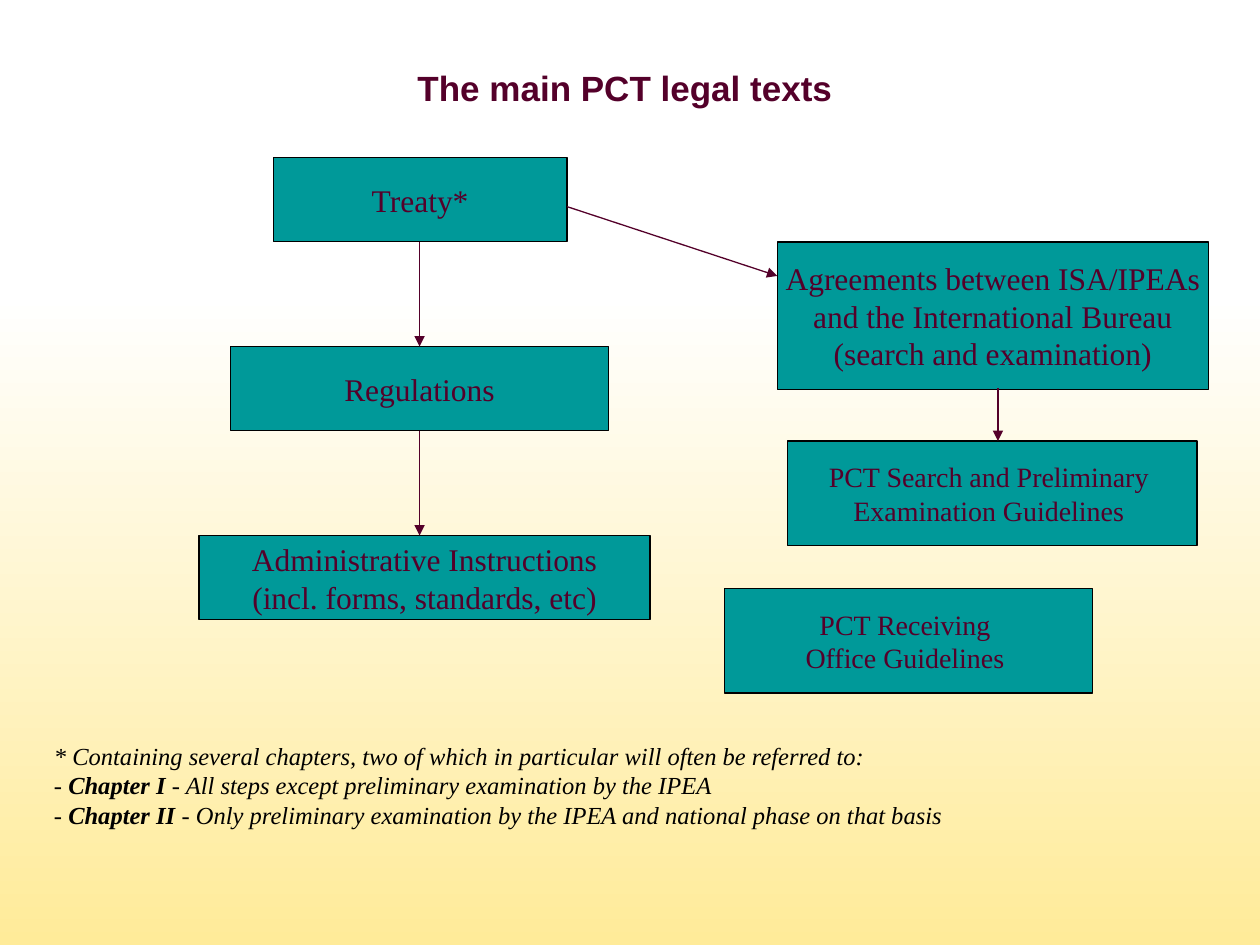
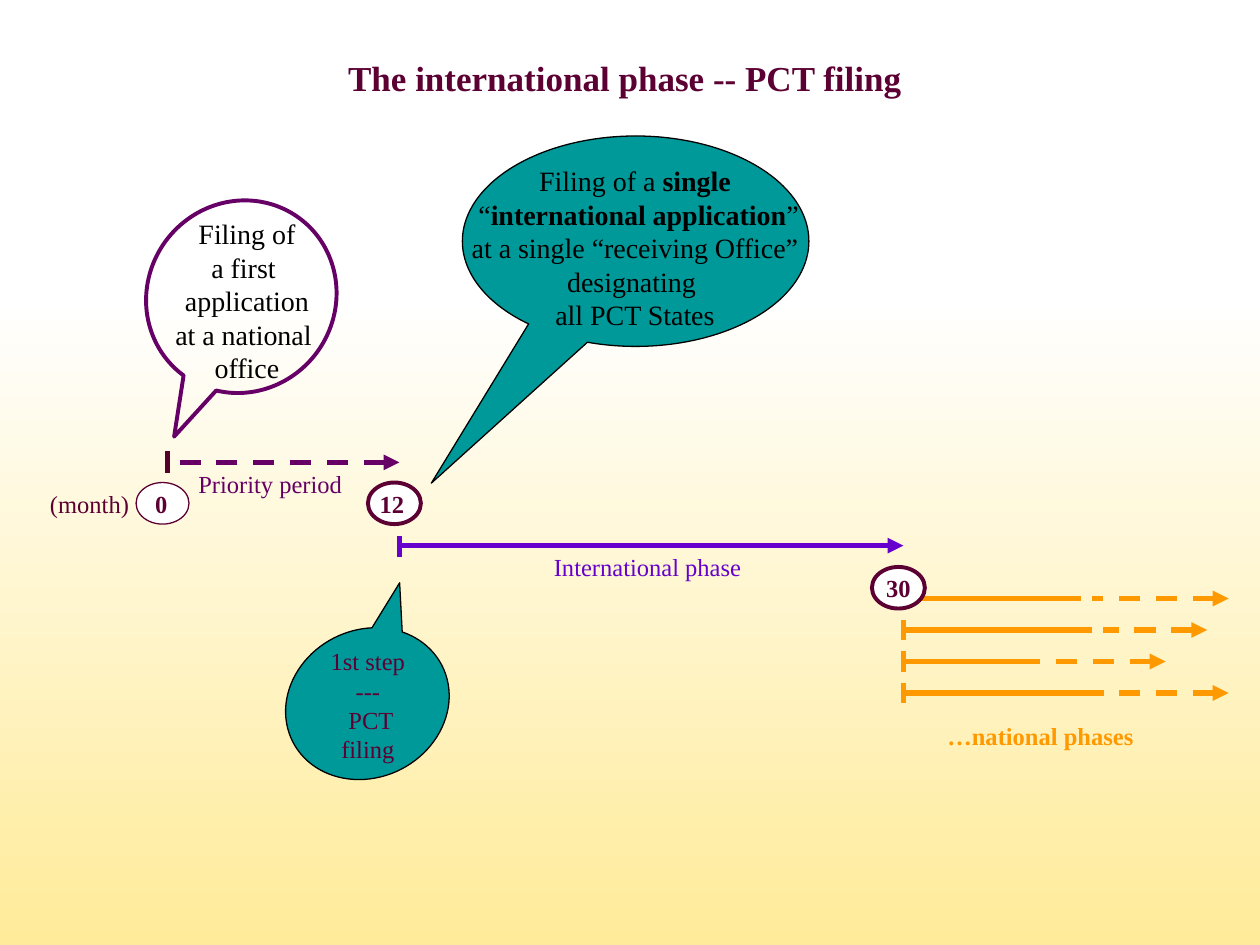
from dataclasses import dataclass

from lxml import etree
from pptx import Presentation
from pptx.dml.color import RGBColor
from pptx.enum.dml import MSO_LINE
from pptx.enum.shapes import MSO_CONNECTOR, MSO_SHAPE
from pptx.enum.text import MSO_ANCHOR, MSO_AUTO_SIZE, PP_ALIGN
from pptx.oxml.ns import qn
from pptx.shapes.base import BaseShape
from pptx.slide import Slide
from pptx.text.text import TextFrame
from pptx.util import Inches, Pt

RECT = MSO_SHAPE.RECTANGLE
OVAL = MSO_SHAPE.OVAL
BUBBLE = MSO_SHAPE.OVAL_CALLOUT
STRAIGHT = MSO_CONNECTOR.STRAIGHT
DASH = MSO_LINE.DASH
LEFT, CENTER = PP_ALIGN.LEFT, PP_ALIGN.CENTER
TOP, MIDDLE = MSO_ANCHOR.TOP, MSO_ANCHOR.MIDDLE
FIT = MSO_AUTO_SIZE.SHAPE_TO_FIT_TEXT

SANS, SERIF = "Arial", "Times New Roman"
COLORS = {
    "white": "FFFFFF",
    "cream": "FFEB99",
    "teal": "009999",
    "black": "000000",
    "wine": "54002A",
    "plum": "5C0033",
    "purple": "660066",
    "violet": "6600CC",
    "orange": "FF9900",
}

Runs = list[tuple[str, bool]]


@dataclass
class Frame:
    left: float
    top: float
    width: float
    height: float

    def lengths(self) -> list[int]:
        return [Inches(v) for v in (self.left, self.top, self.width, self.height)]


@dataclass
class Style:
    size: float = 14
    color: str = "plum"
    font: str = SERIF
    italic: bool = False
    align: PP_ALIGN = CENTER
    anchor: MSO_ANCHOR = TOP
    wrap: bool = True


@dataclass
class Label:
    frame: Frame
    runs: Runs
    style: Style


@dataclass
class Box:
    frame: Frame
    text: str
    size: float = 18


@dataclass
class Line:
    x1: float
    y1: float
    x2: float
    y2: float
    color: str
    width: float = 3
    dash: bool = False
    arrow: str = ""


@dataclass
class Callout:
    frame: Frame
    tip: tuple[float, float]
    turn: float = 0
    fill: str = "teal"
    edge: str = "black"
    width: float = 0.75


@dataclass
class Month:
    left: float
    top: float
    text: str
    shift: float = 0
    width: float = 2.25


def rgb(name: str) -> RGBColor:
    return RGBColor.from_string(COLORS[name])


def plain(text: str, bold: bool = False) -> Runs:
    return [(text, bold)]


def write(frame: TextFrame, runs: Runs, style: Style) -> None:
    frame.word_wrap = style.wrap
    frame.vertical_anchor = style.anchor
    para = frame.paragraphs[0]
    para.alignment = style.align
    for text, bold in runs:
        for row, part in enumerate(text.split("\n")):
            if row:
                para.add_line_break()
            if part:
                run = para.add_run()
                run.text = part
                font = run.font
                font.name, font.size = style.font, Pt(style.size)
                font.bold, font.italic = bold, style.italic
                font.color.rgb = rgb(style.color)


def add_label(slide: Slide, label: Label) -> None:
    frame = slide.shapes.add_textbox(*label.frame.lengths()).text_frame
    write(frame, label.runs, label.style)
    frame.auto_size = FIT


def add_form(slide: Slide, kind: MSO_SHAPE, frame: Frame, fill: str,
             edge: str, width: float) -> BaseShape:
    shape = slide.shapes.add_shape(kind, *frame.lengths())
    shape.shadow.inherit = False
    if fill:
        shape.fill.solid()
        shape.fill.fore_color.rgb = rgb(fill)
    else:
        shape.fill.background()
    shape.line.color.rgb = rgb(edge)
    shape.line.width = Pt(width)
    return shape


def add_box(slide: Slide, box: Box) -> None:
    shape = add_form(slide, RECT, box.frame, "teal", "black", 0.75)
    style = Style(box.size, "wine", anchor=MIDDLE, wrap=False)
    write(shape.text_frame, plain(box.text), style)


def add_line(slide: Slide, line: Line) -> None:
    ends = [Inches(v) for v in (line.x1, line.y1, line.x2, line.y2)]
    link = slide.shapes.add_connector(STRAIGHT, *ends)
    link.line.color.rgb = rgb(line.color)
    link.line.width = Pt(line.width)
    if line.dash:
        link.line.dash_style = DASH
    props = link._element.spPr
    if line.arrow:
        etree.SubElement(props.find(qn("a:ln")), qn(f"a:{line.arrow}End"), type="triangle")
    etree.SubElement(props, qn("a:effectLst"))


def add_bubble(slide: Slide, call: Callout) -> None:
    shape = add_form(slide, BUBBLE, call.frame, call.fill, call.edge, call.width)
    shape.rotation = call.turn
    shape.adjustments[0], shape.adjustments[1] = call.tip


def add_month(slide: Slide, month: Month) -> None:
    oval = Frame(month.left, month.top, 0.42, 0.33)
    add_form(slide, OVAL, oval, "white", "plum", month.width)
    frame = Frame(month.left + month.shift, month.top, 0.42, 0.34)
    add_label(slide, Label(frame, plain(month.text, True), Style(wrap=False)))


def add_page(deck: Presentation, title: str, top: float, font: str, color: str) -> Slide:
    slide = deck.slides.add_slide(deck.slide_layouts[6])
    band = slide.shapes.add_shape(RECT, *Frame(0, 2.33, 10, 5.17).lengths())
    band.shadow.inherit = False
    band.line.fill.background()
    band.fill.gradient()
    band.fill.gradient_angle = 270
    for stop, name, place in zip(band.fill.gradient_stops, ("white", "cream"), (0, 1)):
        stop.color.rgb = rgb(name)
        stop.position = place
    style = Style(20, color, font)
    add_label(slide, Label(Frame(0.5, top, 8.92, 0.44), plain(title, True), style))
    return slide


def draw_texts(deck: Presentation) -> None:
    slide = add_page(deck, "The main PCT legal texts", 0.48, SANS, "wine")
    boxes = [
        Box(Frame(2.17, 1.25, 2.33, 0.67), "Treaty*"),
        Box(Frame(1.83, 2.75, 3, 0.67), "Regulations"),
        Box(Frame(1.58, 4.25, 3.58, 0.67),
            "Administrative Instructions\n(incl. forms, standards, etc)"),
        Box(Frame(6.17, 1.92, 3.42, 1.17),
            "Agreements between ISA/IPEAs\n and the International Bureau \n"
            "(search and examination)"),
        Box(Frame(6.25, 3.5, 3.25, 0.83),
            "PCT Search and Preliminary \nExamination Guidelines ", 16),
        Box(Frame(5.75, 4.67, 2.92, 0.83), "PCT Receiving \nOffice Guidelines ", 16),
    ]
    for box in boxes:
        add_box(slide, box)
    links = [
        (3.33, 1.92, 3.33, 2.75, 1),
        (3.33, 3.42, 3.33, 4.25, 1),
        (4.5, 1.64, 6.17, 2.19, 0.75),
        (7.92, 3.08, 7.92, 3.5, 0.75),
    ]
    for x1, y1, x2, y2, width in links:
        add_line(slide, Line(x1, y1, x2, y2, "wine", width, arrow="tail"))
    notes = [
        ("* Containing several chapters, two of which in particular will often "
         "be referred to:\n- ", False),
        ("Chapter I", True),
        (" - All steps except preliminary examination by the IPEA\n- ", False),
        ("Chapter II", True),
        (" - Only preliminary examination by the IPEA and national phase on that basis",
         False),
    ]
    style = Style(color="black", italic=True, align=LEFT)
    add_label(slide, Label(Frame(0.33, 5.83, 7.33, 0.8), notes, style))


def draw_phase(deck: Presentation) -> None:
    slide = add_page(deck, "The international phase -- PCT filing", 0.4, SERIF, "plum")
    lines = [
        Line(3.17, 3.67, 1.33, 3.67, "purple", dash=True, arrow="head"),
        Line(7.17, 4.33, 3.17, 4.33, "violet", arrow="head"),
        Line(1.33, 3.58, 1.33, 3.75, "wine"),
        Line(3.17, 4.25, 3.17, 4.42, "violet"),
    ]
    spans = [
        (7.25, 8.58, 8.67, 9.75),
        (7.17, 8.67, 8.75, 9.58),
        (7.17, 8.17, 8.17, 9.25),
        (7.17, 8.75, 8.75, 9.75),
    ]
    for row, (start, stop, gap, end) in enumerate(spans):
        y = 4.75 + 0.25 * row
        lines.append(Line(stop, y, start, y, "orange"))
        lines.append(Line(end, y, gap, y, "orange", dash=True, arrow="head"))
        if row:
            lines.append(Line(start, y - 0.08, start, y + 0.08, "orange"))
    for line in lines:
        add_line(slide, line)
    calls = [
        Callout(Frame(3.67, 1.08, 2.75, 1.67), (-0.59, 1.15)),
        Callout(Frame(1.14, 1.61, 1.55, 1.49), (-0.78, 0.16), 306.8, "", "purple", 2.25),
        Callout(Frame(2.25, 5, 1.33, 1.17), (-0.5, 0.63), 152.9),
    ]
    for call in calls:
        add_bubble(slide, call)
    single = [
        ("Filing of a ", False),
        ("single\n", True),
        (" “", False),
        ("international application", True),
        ("”\nat a single “receiving Office”\ndesignating \nall PCT States", False),
    ]
    first = plain("Filing of\na first \napplication\nat a national \noffice")
    large = Style(16, "black")
    labels = [
        Label(Frame(7.42, 5.67, 1.75, 0.34), plain("…national phases", True),
              Style(color="orange", align=LEFT)),
        Label(Frame(0.25, 3.83, 0.92, 0.34), plain("(month)"), Style()),
        Label(Frame(4.25, 4.33, 1.83, 0.34), plain("International phase "),
              Style(color="violet")),
        Label(Frame(1.42, 3.67, 1.5, 0.34), plain("Priority period "),
              Style(color="purple")),
        Label(Frame(3.58, 1.25, 2.92, 1.44), single, large),
        Label(Frame(0.92, 1.67, 2.08, 1.44), first, large),
        Label(Frame(2.42, 5.08, 1, 1.04), plain("1st step\n---\n PCT\nfiling"), Style()),
    ]
    for label in labels:
        add_label(slide, label)
    months = [
        Month(1.08, 3.83, "0", -0.01, 0.75),
        Month(2.92, 3.83, "12", -0.02),
        Month(6.92, 4.5, "30"),
    ]
    for month in months:
        add_month(slide, month)


def main() -> None:
    deck = Presentation()
    deck.slide_width, deck.slide_height = Inches(10), Inches(7.5)
    draw_texts(deck)
    draw_phase(deck)
    deck.save("out.pptx")


if __name__ == "__main__":
    main()
